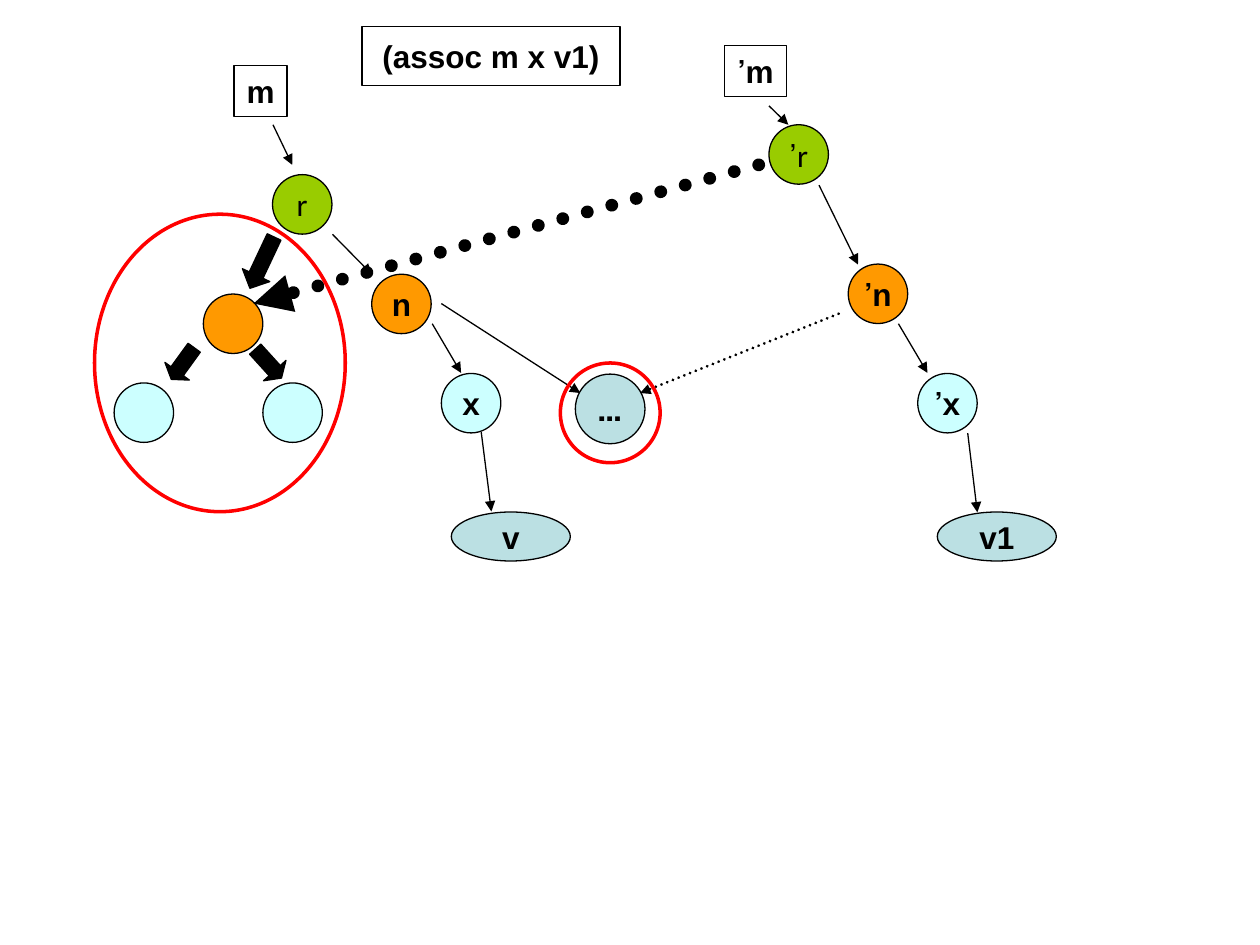
import pptx
import pptx.util
import pptx.dml.color
import pptx.enum.dml
import pptx.enum.shapes
import pptx.enum.text
import pptx.oxml.ns
from lxml import etree

Pt = pptx.util.Pt
RGB = pptx.dml.color.RGBColor
Kind = pptx.enum.shapes.MSO_SHAPE
Dash = pptx.enum.dml.MSO_LINE
Text = pptx.enum.text
qn = pptx.oxml.ns.qn

BLACK = RGB(0x00, 0x00, 0x00)
RED = RGB(0xFF, 0x00, 0x00)
GREEN = RGB(0x99, 0xCC, 0x00)
ORANGE = RGB(0xFF, 0x99, 0x00)
CYAN = RGB(0xCC, 0xFF, 0xFF)
TEAL = RGB(0xBB, 0xE0, 0xE3)

NODE = 34  # diameter of a tree node
LEAF = (68, 28)  # size of a value oval

# label, fill, left, top
nodes = [
    ("r", GREEN, 155.7, 99.8), ("n", ORANGE, 212.4, 156.7),
    ("x", CYAN, 252.2, 213.4), ("", ORANGE, 116.2, 168),
    ("", CYAN, 65.2, 218.8), ("", CYAN, 150.2, 218.8),
    ("r’", GREEN, 439.4, 71.3), ("n’", ORANGE, 484.7, 150.9),
    ("x’", CYAN, 524.4, 213.4),
]
leaves = [("v", 257.9, 292.6), ("v1", 535.6, 292.6)]

# label, box, right-to-left
labels = [
    ("m", (133.8, 37.5, 30.2, 29), True),
    ("(assoc m x v1)", (206.8, 15, 147.6, 33.8), False),
    ("m’", (414.2, 26, 35.3, 29), True),
]

# box before turning, angle, head length over width
blocks = [
    ((141.1, 133.9, 17.3, 32.4), 25.2, 0.48),
    ((95.8, 196.6, 17.3, 22.3), 35.9, 0.33),
    ((144.7, 196.6, 17.3, 22.3), 317.8, 0.33),
]

# start, end
links = [
    ((156, 71.3), (167, 94.2)), ((190, 133.9), (212.4, 156.7)),
    ((247, 185), (263.5, 213.1)), ((275, 247), (280.8, 292.3)),
    ((252.2, 173.5), (331.6, 224.6)), ((439.4, 60.5), (450.5, 71.3)),
    ((468, 105.8), (490.3, 151.2)), ((513.4, 185), (530, 213.1)),
    ((553, 247.5), (558.5, 292.8)),
]
# start, end, width
shared = [((433.6, 94.2), (144.9, 173.5), 7.25),
          ((479.2, 179.3), (365.8, 224.6), 1.75)]
rings = [(54, 122.4, 143.3, 170), (320.2, 207.4, 57, 57)]

deck = pptx.Presentation()
deck.slide_width, deck.slide_height = Pt(720), Pt(540)
slide = deck.slides.add_slide(deck.slide_layouts[6])


def shape(text, box, kind=Kind.OVAL, fill=None, line=BLACK, width=0.75,
          rtl=True, bold=True, font="Arial"):
    item = slide.shapes.add_shape(kind, *map(Pt, box))
    item.shadow.inherit = False
    if fill is None:
        item.fill.background()
    else:
        item.fill.solid()
        item.fill.fore_color.rgb = fill
    item.line.color.rgb = line
    item.line.width = Pt(width)
    if text:
        frame = item.text_frame
        frame.word_wrap = False
        frame.vertical_anchor = Text.MSO_ANCHOR.MIDDLE
        para = frame.paragraphs[0]
        para.alignment = Text.PP_ALIGN.CENTER
        if rtl:
            para._p.get_or_add_pPr().set("rtl", "1")
        run = para.add_run()
        run.text = text
        run.font.name = font
        run.font.size = Pt(18)
        run.font.bold = bold
        run.font.color.rgb = BLACK
    return item


def arrow(start, end, width=0.75, dots=False):
    item = slide.shapes.add_connector(
        pptx.enum.shapes.MSO_CONNECTOR.STRAIGHT, *map(Pt, start + end))
    item.line.color.rgb = BLACK
    item.line.width = Pt(width)
    edge = item.line._get_or_add_ln()
    if dots:
        item.line.dash_style = Dash.ROUND_DOT
        edge.set("cap", "rnd")
    etree.SubElement(edge, qn("a:tailEnd"), type="triangle")
    etree.SubElement(item._element.spPr, qn("a:effectLst"))


for text, fill, left, top in nodes:
    root = fill == GREEN
    shape(text, (left, top, NODE, NODE), fill=fill, bold=not root,
          font="Calibri" if root else "Arial")
for text, left, top in leaves:
    shape(text, (left, top, *LEAF), fill=TEAL)
for text, box, rtl in labels:
    shape(text, box, kind=Kind.RECTANGLE, rtl=rtl)
for box, angle, head in blocks:
    block = shape("", box, kind=Kind.DOWN_ARROW, fill=BLACK)
    block.adjustments[1] = head
    block.rotation = angle
for start, end in links:
    arrow(start, end)
for start, end, width in shared:
    arrow(start, end, width, dots=True)
for box in rings:
    shape("", box, line=RED, width=2)
shape("…", (328.8, 213.8, 39.8, 39.8), fill=TEAL)

deck.save("out.pptx")
